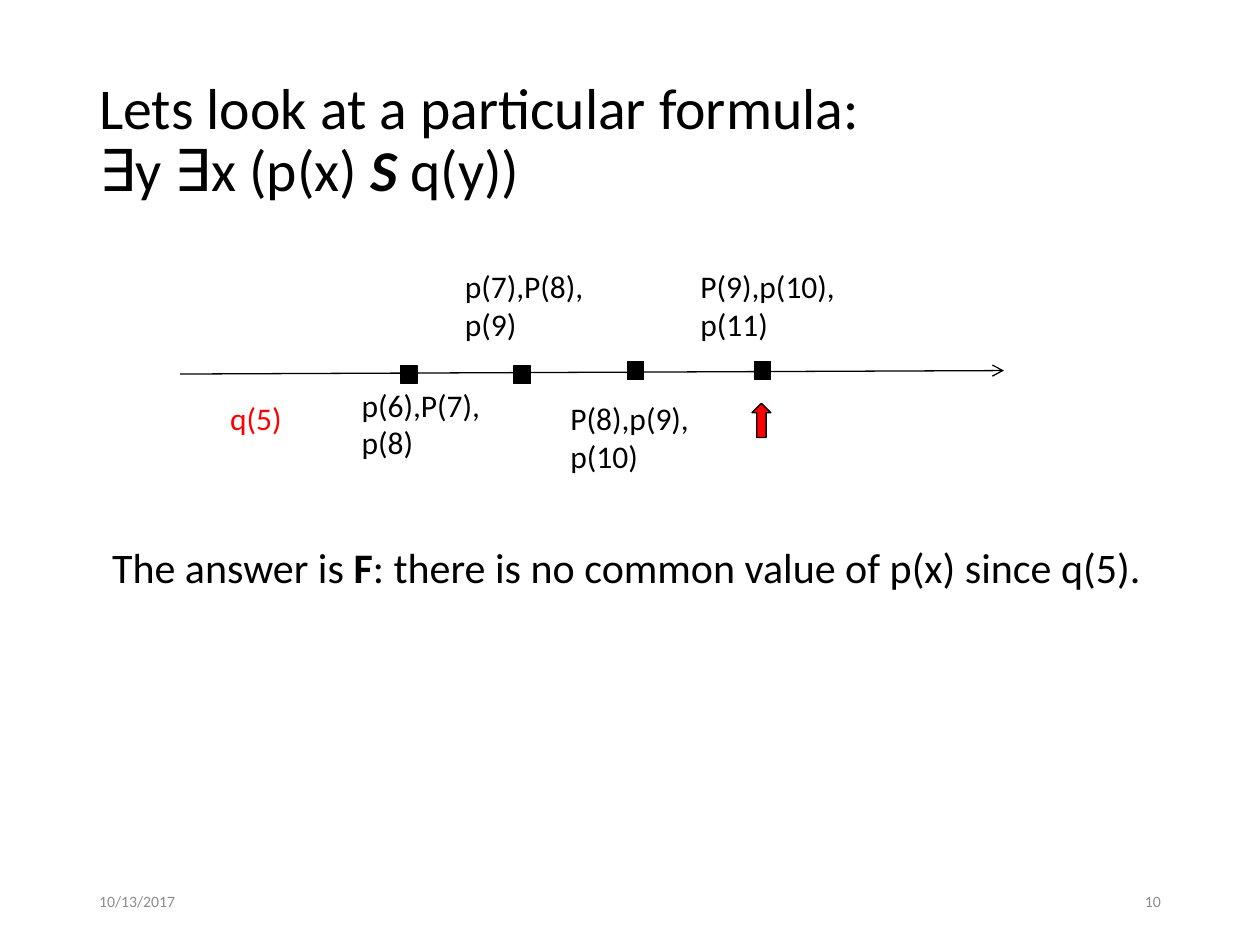
from dataclasses import dataclass

from lxml.etree import SubElement
from pptx import Presentation
from pptx.dml.color import RGBColor
from pptx.enum.shapes import MSO_CONNECTOR, MSO_SHAPE
from pptx.enum.text import MSO_ANCHOR, PP_ALIGN
from pptx.oxml.ns import qn
from pptx.util import Cm, Pt


@dataclass(frozen=True)
class Theme:
    font: str = "Calibri"
    black: RGBColor = RGBColor(0, 0, 0)
    red: RGBColor = RGBColor(255, 0, 0)
    gray: RGBColor = RGBColor(0x8C, 0x8C, 0x8C)
    title: Pt = Pt(33)
    body: Pt = Pt(24)
    label: Pt = Pt(18)
    small: Pt = Pt(9)
    line: Pt = Pt(0.75)


THEME = Theme()


def add_text(slide, area, parts, size, color=THEME.black,
             anchor=MSO_ANCHOR.TOP, align=PP_ALIGN.LEFT):
    box = slide.shapes.add_textbox(*map(Cm, area))
    frame = box.text_frame
    frame.word_wrap = True
    frame.vertical_anchor = anchor
    para = frame.paragraphs[0]
    para.alignment = align
    para.text = parts[0]
    for part in parts[1:]:
        para.add_run().text = part
    for run in para.runs:
        run.font.name = THEME.font
        run.font.size = size
        run.font.color.rgb = color
    return para


def add_mark(slide, kind, area, color):
    mark = slide.shapes.add_shape(kind, *map(Cm, area))
    mark.shadow.inherit = False
    mark.fill.solid()
    mark.fill.fore_color.rgb = color
    mark.line.color.rgb = THEME.black
    mark.line.width = THEME.line


def add_axis(slide, start, end):
    axis = slide.shapes.add_connector(
        MSO_CONNECTOR.STRAIGHT, *map(Cm, start + end))
    axis.line.color.rgb = THEME.black
    axis.line.width = THEME.line
    props = axis.line._get_or_add_ln()
    SubElement(props, qn("a:tailEnd"), type="arrow")
    SubElement(axis._element.spPr, qn("a:effectLst"))


def add_title(slide):
    parts = ["Lets look at a particular formula:\v∃y ∃x (p(x) ", "S", " q(y))"]
    para = add_text(slide, (1.75, 1.02, 21.9, 3.68), parts, THEME.title,
                    anchor=MSO_ANCHOR.MIDDLE)
    para.line_spacing = 0.9
    since = para.runs[-2].font
    since.bold = since.italic = True


def add_trace(slide):
    add_axis(slide, (3.63, 7.54), (20.24, 7.47))
    for left, top in [(8.08, 7.37), (10.36, 7.37), (12.65, 7.29), (15.21, 7.29)]:
        add_mark(slide, MSO_SHAPE.RECTANGLE, (left, top, 0.33, 0.36), THEME.black)
    labels = [
        (7.04, 7.65, 3.12, "p(6),P(7),p(8)"),
        (9.12, 5.26, 3.12, "p(7),P(8),p(9)"),
        (11.25, 7.92, 3.12, "P(8),p(9),p(10)"),
        (13.87, 5.26, 3.38, "P(9),p(10),p(11)"),
    ]
    for left, top, width, text in labels:
        add_text(slide, (left, top, width, 1.8), [text], THEME.label)
    add_mark(slide, MSO_SHAPE.UP_ARROW, (15.16, 8.13, 0.38, 0.69), THEME.red)
    add_text(slide, (4.39, 7.92, 1.85, 1.02), ["q(5)"], THEME.label, THEME.red)


def add_answer(slide):
    parts = ["The answer is ", "F", ": there is no common value of p(x) since q(5)."]
    para = add_text(slide, (2.01, 10.8, 21.97, 1.27), parts, THEME.body)
    para.runs[1].font.bold = True


def add_footer(slide):
    items = [(1.75, "10/13/2017", PP_ALIGN.LEFT), (17.93, "10", PP_ALIGN.RIGHT)]
    for left, text, align in items:
        add_text(slide, (left, 17.65, 5.72, 1.02), [text], THEME.small,
                 THEME.gray, MSO_ANCHOR.MIDDLE, align)


def main():
    deck = Presentation()
    deck.slide_width, deck.slide_height = Cm(25.4), Cm(19.05)
    slide = deck.slides.add_slide(deck.slide_layouts[6])
    add_title(slide)
    add_trace(slide)
    add_answer(slide)
    add_footer(slide)
    deck.save("out.pptx")


if __name__ == "__main__":
    main()
